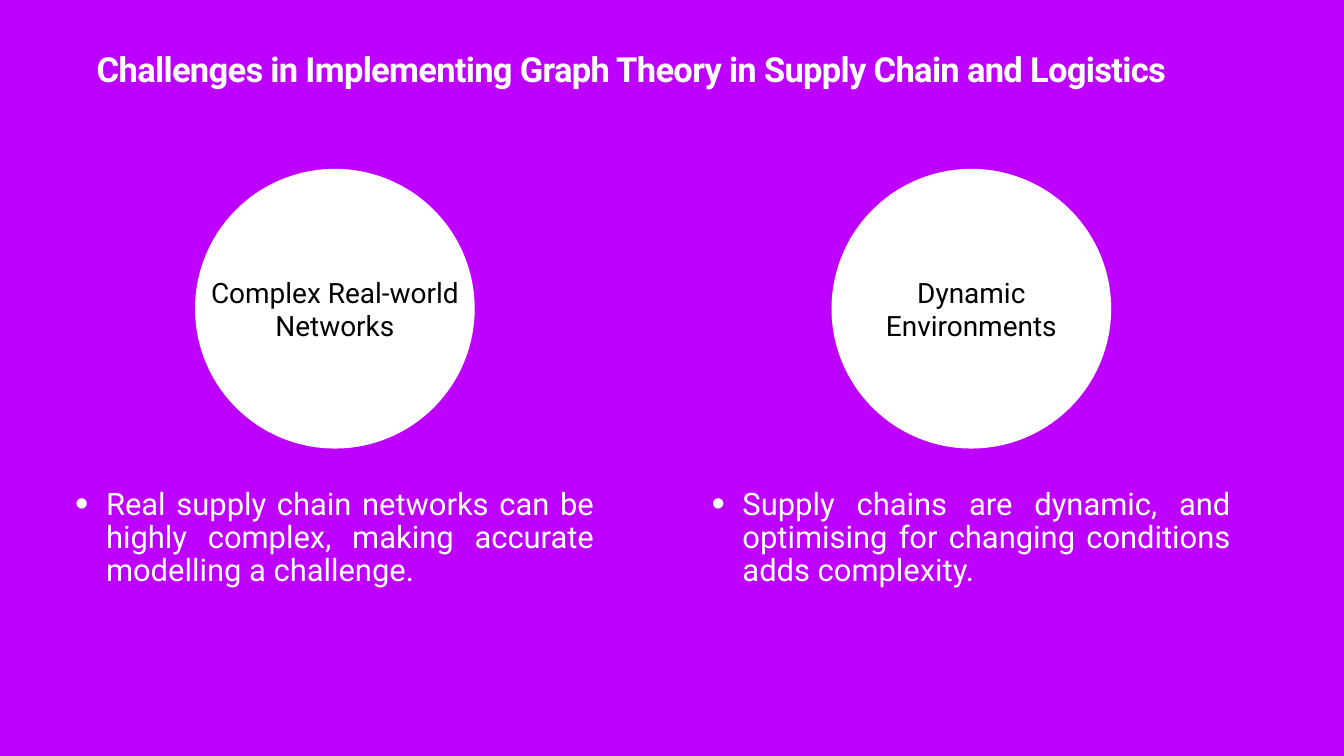
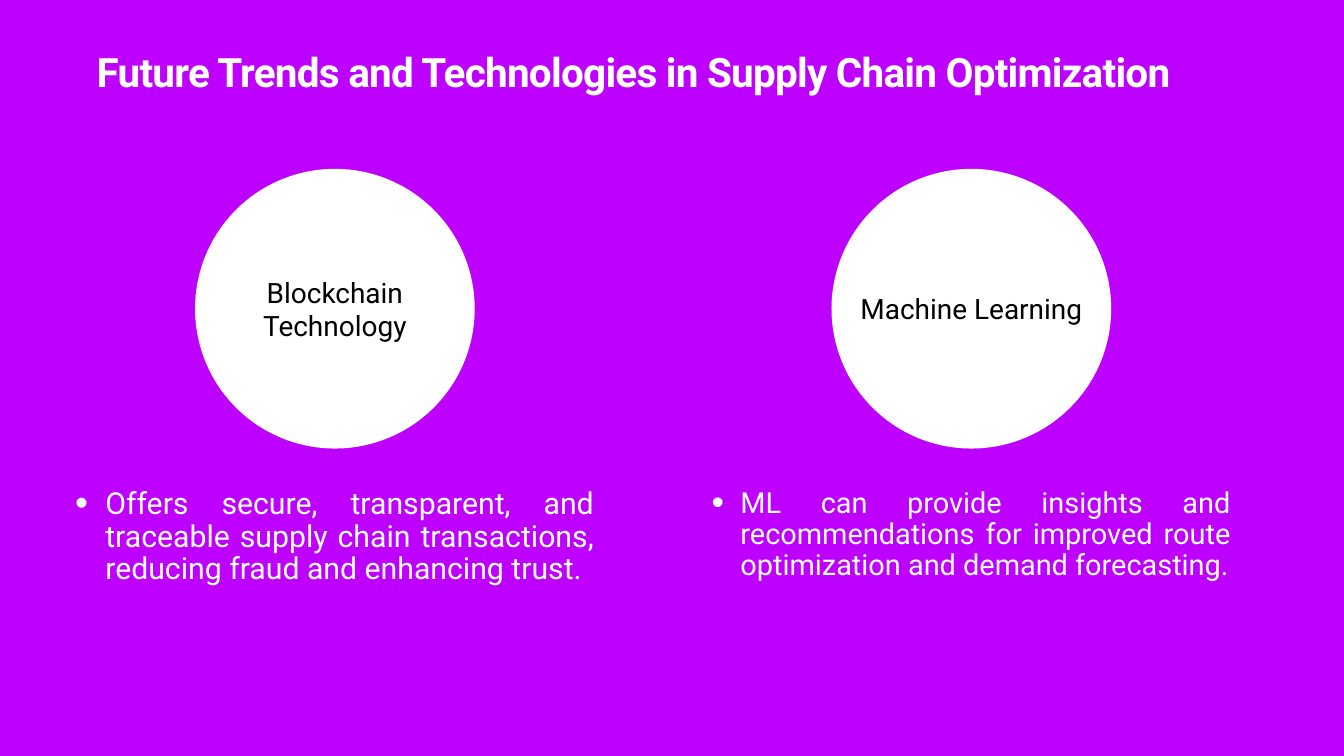
from lxml import etree
from pptx import Presentation
from pptx.dml.color import RGBColor
from pptx.enum.shapes import MSO_SHAPE
from pptx.enum.text import MSO_ANCHOR, MSO_AUTO_SIZE, PP_ALIGN
from pptx.oxml.ns import qn
from pptx.util import Pt

PX = 9144  # EMU in one px, 100 px to the inch
WIDE, HIGH = 2667, 1500
FONT = "Roboto"
COLORS = {"back": "BE00FF", "light": "FFFFFF", "dark": "000000"}
LEFT, CENTER, JUSTIFY = PP_ALIGN.LEFT, PP_ALIGN.CENTER, PP_ALIGN.JUSTIFY
TOP, MIDDLE = MSO_ANCHOR.TOP, MSO_ANCHOR.MIDDLE
FIXED, GROW = MSO_AUTO_SIZE.NONE, MSO_AUTO_SIZE.SHAPE_TO_FIT_TEXT
OVAL = MSO_SHAPE.OVAL

TITLE = (186, 105, 2296, 157)
COLUMNS = (143, 1406)  # left edges
COL_TOP, COL_WIDE = 335, 1042
DISC, DISC_IN = 555, 244  # diameter, inset from the column edge
LIST_DROP, LIST_HIGH = 628, 213
LABELS = (577, 516)  # widths
LINE, PAD = 67, 6

# title, its size and tracking, then (label, label lines, point, point size)
SLIDES = [
    ("Challenges in Implementing Graph Theory in Supply Chain and Logistics",
     49.3, -1, [
         ("Complex Real-world Networks", 2,
          "Real supply chain networks can be highly complex, "
          "making accurate modelling a challenge.", 44.2),
         ("Dynamic Environments", 2,
          "Supply chains are dynamic, and optimising for changing "
          "conditions adds complexity.", 44.2)]),
    ("Future Trends and Technologies in Supply Chain Optimization",
     57.8, -1.1, [
         ("Blockchain Technology", 2,
          "Offers secure, transparent, and traceable supply chain "
          "transactions, reducing fraud and enhancing trust.", 43.2),
         ("Machine Learning", 1,
          "ML can provide insights and recommendations for improved "
          "route optimization and demand forecasting.", 41.3)]),
]


def color(name):
    return RGBColor.from_string(COLORS[name])


def scale(*box):
    return [round(n * PX) for n in box]


def place(shape, box):
    shape.left, shape.top, shape.width, shape.height = scale(*box)


def add_bullet(para, size):
    """Hang the text by one em behind an enlarged dot."""
    props = para._p.get_or_add_pPr()
    props.set("marL", str(Pt(size)))
    props.set("indent", str(-Pt(size)))
    etree.SubElement(props, qn("a:buSzPct")).set("val", "123000")
    etree.SubElement(props, qn("a:buChar")).set("char", "•")


def write(shape, text, size, tone="light", bold=False, align=LEFT,
          anchor=TOP, fit=FIXED, lead=1.0, track=0, bullet=False):
    frame = shape.text_frame
    frame.word_wrap = True
    frame.auto_size = fit
    frame.vertical_anchor = anchor
    frame.margin_left = frame.margin_right = PAD * PX
    frame.margin_top = frame.margin_bottom = PAD * PX
    para = frame.paragraphs[0]
    if bullet:
        add_bullet(para, size)
    para.alignment = align
    para.line_spacing = lead
    para.space_before = Pt(0)
    run = para.add_run()
    run.text = text
    font = run.font
    font.name, font.size, font.bold = FONT, Pt(size), bold
    font.color.rgb = color(tone)
    if track:
        run._r.get_or_add_rPr().set("spc", str(round(track * 100)))


def add_disc(slide, left, top, text, lines, wide):
    """Group a circle with a label centred on it."""
    group = slide.shapes.add_group_shape()
    disc = group.shapes.add_shape(OVAL, *scale(left, top, DISC, DISC))
    disc.shadow.inherit = False
    disc.fill.solid()
    disc.fill.fore_color.rgb = color("light")
    disc.line.fill.background()
    high = lines * LINE + 1.5 * PAD
    label = group.shapes.add_textbox(*scale(
        left + (DISC - wide) / 2, top + (DISC - high) / 2, wide, high))
    write(label, text, 40, tone="dark", align=CENTER, anchor=MIDDLE, fit=GROW)


def add_column(slide, holder, left, top, wide, item):
    label, lines, point, size = item
    add_disc(slide, left + DISC_IN, top, label, lines, wide)
    place(holder, (left, top + LIST_DROP, COL_WIDE, LIST_HIGH))
    write(holder, point, size, align=JUSTIFY, lead=0.9, bullet=True)


def add_pair(deck, title, size, track, items):
    """Add a slide with a title over two columns."""
    slide = deck.slides.add_slide(deck.slide_layouts[3])
    head, *lists = slide.placeholders
    place(head, TITLE)
    write(head, title, size, bold=True, lead=0.8, track=track)
    for holder, left, wide, item in zip(lists, COLUMNS, LABELS, items):
        add_column(slide, holder, left, COL_TOP, wide, item)


def main():
    deck = Presentation()
    deck.slide_width, deck.slide_height = scale(WIDE, HIGH)
    back = deck.slide_master.background.fill
    back.solid()
    back.fore_color.rgb = color("back")
    for content in SLIDES:
        add_pair(deck, *content)
    deck.save("out.pptx")


if __name__ == "__main__":
    main()
